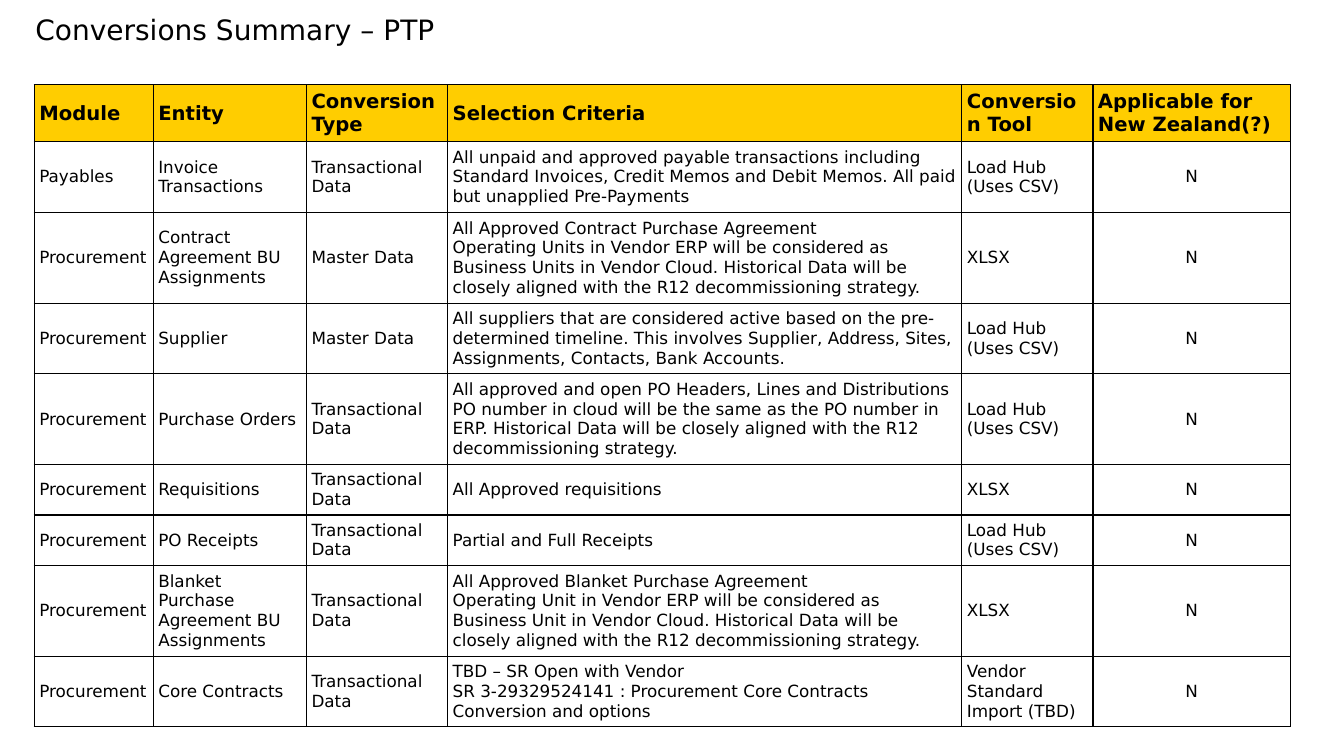
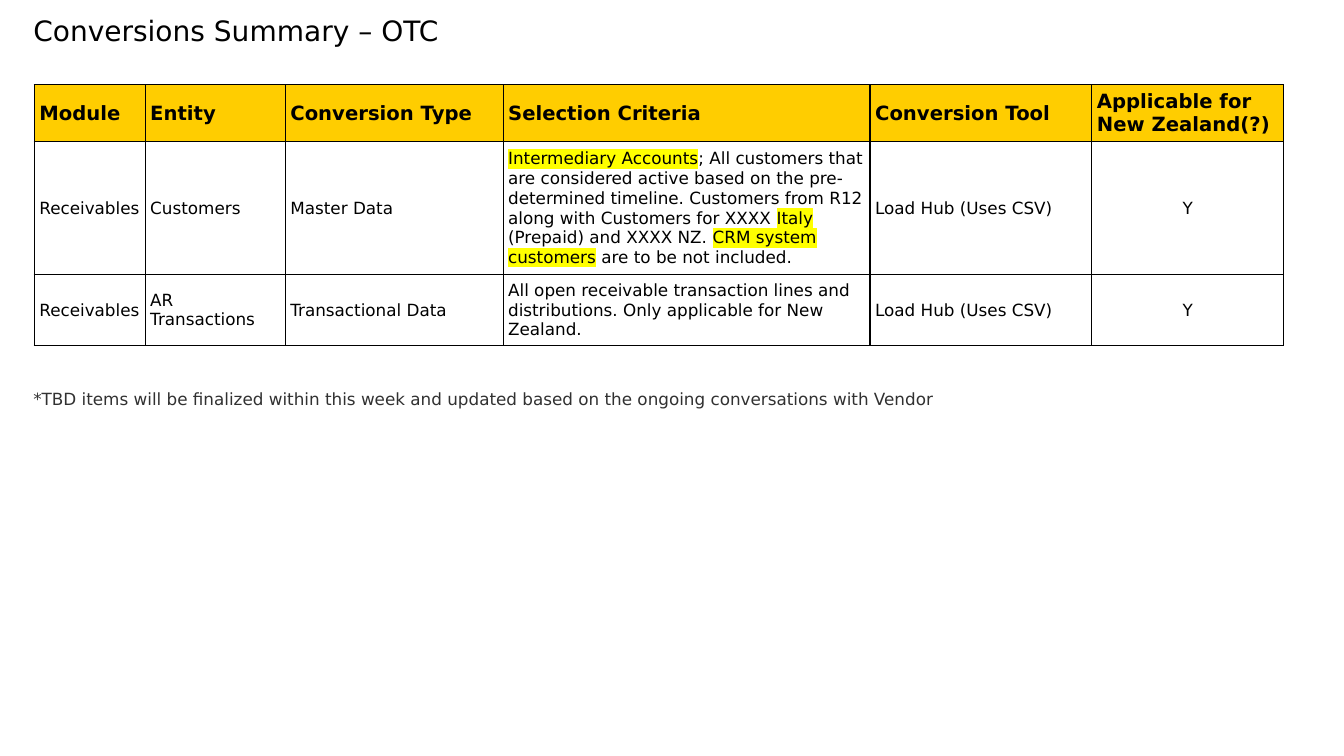
from dataclasses import dataclass

from lxml import etree
from pptx import Presentation
from pptx.dml.color import RGBColor
from pptx.enum.text import MSO_ANCHOR, PP_ALIGN
from pptx.oxml.ns import qn
from pptx.util import Inches, Pt

MIDDLE = MSO_ANCHOR.MIDDLE
LEFT, CENTER = PP_ALIGN.LEFT, PP_ALIGN.CENTER
FONT = "DejaVu Sans"
COLORS = {
    "text": "000000",
    "note": "313131",
    "header": "FFCD00",
    "body": "FFFFFF",
    "border": "000000",
    "highlight": "FFFF00",
}
CELL_MARGIN = 0.05
TABLE_LEFT, TABLE_TOP = 0.34, 0.84
HEADERS = ("Module", "Entity", "Conversion Type", "Selection Criteria",
           "Conversion Tool", "Applicable for New Zealand(?)")
MASTER, TRANSACTIONAL = "Master Data", "Transactional Data"
HUB, SHEET = "Load Hub (Uses CSV)", "XLSX"


@dataclass(frozen=True)
class Conversion:
    """One table row; text between bars in the criteria is highlighted."""
    module: str
    entity: str
    kind: str
    criteria: str
    tool: str
    applicable: str
    height: float

    def cells(self) -> tuple[str, ...]:
        """Return the cell texts in column order."""
        return (self.module, self.entity, self.kind, self.criteria,
                self.tool, self.applicable)


@dataclass(frozen=True)
class Summary:
    """One slide: its title, its table and an optional note."""
    title: str
    title_at: tuple[float, float]
    widths: tuple[float, ...]
    rows: tuple[Conversion, ...]
    note: str = ""


PTP = Summary(
    "Conversions Summary – PTP", (0.35, 0.16),
    (1.18, 1.52, 1.4, 5.1, 1.3, 1.96),
    (
        Conversion("Payables", "Invoice Transactions", TRANSACTIONAL,
                   "All unpaid and approved payable transactions including "
                   "Standard Invoices, Credit Memos and Debit Memos. All paid "
                   "but unapplied Pre-Payments", HUB, "N", 0.69),
        Conversion("Procurement", "Contract Agreement BU Assignments", MASTER,
                   "All Approved Contract Purchase Agreement\n"
                   "Operating Units in Vendor ERP will be considered as "
                   "Business Units in Vendor Cloud. Historical Data will be "
                   "closely aligned with the R12 decommissioning strategy.",
                   SHEET, "N", 0.88),
        Conversion("Procurement", "Supplier", MASTER,
                   "All suppliers that are considered active based on the "
                   "pre-determined timeline. This involves Supplier, Address, "
                   "Sites, Assignments, Contacts, Bank Accounts.",
                   HUB, "N", 0.69),
        Conversion("Procurement", "Purchase Orders", TRANSACTIONAL,
                   "All approved and open PO Headers, Lines and Distributions\n"
                   "PO number in cloud will be the same as the PO number in "
                   "ERP. Historical Data will be closely aligned with the R12 "
                   "decommissioning strategy.", HUB, "N", 0.88),
        Conversion("Procurement", "Requisitions", TRANSACTIONAL,
                   "All Approved requisitions", SHEET, "N", 0.49),
        Conversion("Procurement", "PO Receipts", TRANSACTIONAL,
                   "Partial and Full Receipts", HUB, "N", 0.49),
        Conversion("Procurement", "Blanket Purchase Agreement BU Assignments",
                   TRANSACTIONAL,
                   "All Approved Blanket Purchase Agreement\n"
                   "Operating Unit in Vendor ERP will be considered as "
                   "Business Unit in Vendor Cloud. Historical Data will be "
                   "closely aligned with the R12 decommissioning strategy.",
                   SHEET, "N", 0.88),
        Conversion("Procurement", "Core Contracts", TRANSACTIONAL,
                   "TBD – SR Open with Vendor\n"
                   "SR 3-29329524141 : Procurement Core Contracts Conversion "
                   "and options", "Vendor Standard Import (TBD)", "N", 0.69),
    ),
)
OTC = Summary(
    "Conversions Summary – OTC", (0.33, 0.17),
    (1.1, 1.39, 2.16, 3.64, 2.2, 1.9),
    (
        Conversion("Receivables", "Customers", MASTER,
                   "|Intermediary Accounts|; All customers that are considered "
                   "active based on the pre-determined timeline. Customers "
                   "from R12 along with Customers for XXXX |Italy| (Prepaid) "
                   "and XXXX NZ. |CRM system customers| are to be not included.",
                   HUB, "Y", 1.32),
        Conversion("Receivables", "AR Transactions", TRANSACTIONAL,
                   "All open receivable transaction lines and distributions. "
                   "Only applicable for New Zealand.", HUB, "Y", 0.69),
    ),
    "*TBD items will be finalized within this week and updated based on the "
    "ongoing conversations with Vendor",
)


def rgb(name: str) -> RGBColor:
    """Look up a named colour."""
    return RGBColor.from_string(COLORS[name])


def add_solid(parent, tag: str, color: str) -> None:
    """Append an element holding a colour, such as a highlight."""
    node = etree.SubElement(parent, qn(tag))
    etree.SubElement(node, qn("a:srgbClr"), val=COLORS[color])


def write_text(tf, text: str, *, size: int = 12, bold: bool = False,
               color: str = "text", align=LEFT, spacing: float = 1.0) -> None:
    """Fill a text frame, one paragraph a line, with bars around highlights."""
    tf.word_wrap = True
    for i, line in enumerate(text.split("\n")):
        p = tf.add_paragraph() if i else tf.paragraphs[0]
        p.alignment, p.line_spacing = align, spacing
        for j, piece in enumerate(line.split("|")):
            if not piece:
                continue
            r = p.add_run()
            r.text = piece
            r.font.size, r.font.bold = Pt(size), bold
            r.font.color.rgb = rgb(color)
            if j % 2:
                add_solid(r.font._element, "a:highlight", "highlight")
            r.font.name = FONT


def add_text(s, text: str, left: float, top: float, width: float,
             height: float, **fmt) -> None:
    """Add a text box without insets."""
    tf = s.shapes.add_textbox(Inches(left), Inches(top), Inches(width),
                              Inches(height)).text_frame
    tf.margin_left = tf.margin_right = tf.margin_top = tf.margin_bottom = 0
    write_text(tf, text, **fmt)


def style_cell(cell, fill: str) -> None:
    """Set the borders, fill, margins and anchor of a cell."""
    tcPr = cell._tc.get_or_add_tcPr()
    for side in "LRTB":
        ln = etree.SubElement(tcPr, qn(f"a:ln{side}"), w=str(Pt(1)))
        add_solid(ln, "a:solidFill", "border")
    cell.fill.solid()
    cell.fill.fore_color.rgb = rgb(fill)
    cell.vertical_anchor = MIDDLE
    cell.margin_left = cell.margin_right = Inches(CELL_MARGIN)
    cell.margin_top = cell.margin_bottom = Inches(CELL_MARGIN)


def add_summary_table(s, summary: Summary) -> None:
    """Draw the header row and the conversion rows."""
    texts = [HEADERS] + [row.cells() for row in summary.rows]
    heights = [0.55] + [row.height for row in summary.rows]
    table = s.shapes.add_table(
        len(texts), len(HEADERS), Inches(TABLE_LEFT), Inches(TABLE_TOP),
        Inches(sum(summary.widths)), Inches(sum(heights))).table
    for column, width in zip(table.columns, summary.widths):
        column.width = Inches(width)
    for i, (row, height) in enumerate(zip(table.rows, heights)):
        row.height = Inches(height)
        header = i == 0
        for j, cell in enumerate(row.cells):
            style_cell(cell, "header" if header else "body")
            last = j == len(HEADERS) - 1
            write_text(cell.text_frame, texts[i][j],
                       size=14 if header else 12, bold=header,
                       align=CENTER if last and not header else LEFT)


def add_summary(prs, summary: Summary) -> None:
    """Add one summary slide."""
    s = prs.slides.add_slide(prs.slide_layouts[6])
    add_text(s, summary.title, *summary.title_at, 12.31, 0.37,
             size=20, spacing=0.9)
    add_summary_table(s, summary)
    if summary.note:
        add_text(s, summary.note, 0.33, 3.76, 11.72, 0.26,
                 color="note", spacing=1.5)


def main() -> None:
    """Build and save the presentation."""
    prs = Presentation()
    prs.slide_width, prs.slide_height = Inches(13.33), Inches(7.5)
    for summary in (PTP, OTC):
        add_summary(prs, summary)
    prs.save("out.pptx")


if __name__ == "__main__":
    main()
